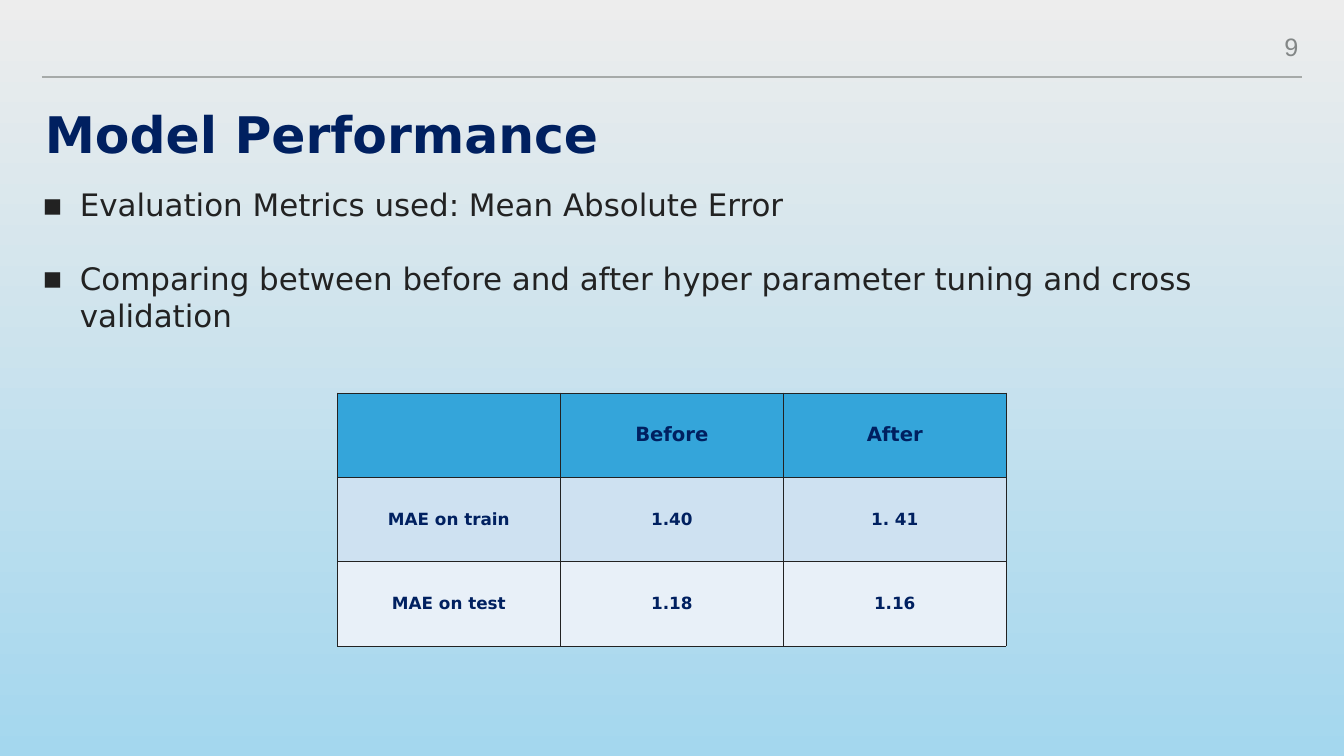
from lxml import etree
from pptx import Presentation
from pptx.dml.color import RGBColor
from pptx.enum import shapes, text
from pptx.oxml import ns
from pptx.util import Pt

NAVY = RGBColor(0x00, 0x20, 0x60)
INK = RGBColor(0x22, 0x22, 0x22)
GREY = RGBColor(0x83, 0x87, 0x87)
RULE = RGBColor(0xA6, 0xAA, 0xA9)
PALE = RGBColor(0xED, 0xED, 0xED)
SKY = RGBColor(0xA4, 0xD7, 0xEE)
HEAD = RGBColor(0x34, 0xA5, 0xDA)
BANDS = [HEAD, RGBColor(0xCE, 0xE1, 0xF1), RGBColor(0xE8, 0xF0, 0xF8)]

FACE = "DejaVu Sans"
LEFT, RIGHT = text.PP_ALIGN.LEFT, text.PP_ALIGN.RIGHT
TOP, MID, LOW = text.MSO_ANCHOR.TOP, text.MSO_ANCHOR.MIDDLE, text.MSO_ANCHOR.BOTTOM

POINTS = [
    "Evaluation Metrics used: Mean Absolute Error",
    "Comparing between before and after hyper parameter tuning and cross validation",
]
ROWS = [
    ["", "Before", "After"],
    ["MAE on train", "1.40", "1. 41"],
    ["MAE on test", "1.18", "1.16"],
]


def apply(item, values):
    for key, value in values.items():
        setattr(item, key, value)


def add(parent, tag, **attrs):
    return etree.SubElement(parent, ns.qn(tag), attrs)


def style(para, size, color, bold=False, face=FACE, **layout):
    apply(para, layout)
    apply(para.font, {"size": Pt(size), "name": face, "bold": bold})
    para.font.color.rgb = color


def place(shape, box, anchor, wrap=True):
    apply(shape, dict(zip(("left", "top", "width", "height"), map(Pt, box))))
    frame = shape.text_frame
    apply(frame, {"word_wrap": wrap, "auto_size": text.MSO_AUTO_SIZE.NONE,
                  "vertical_anchor": anchor})
    apply(frame, {f"margin_{side}": Pt(4)
                  for side in ("left", "top", "right", "bottom")})
    return frame


def paint(slide):
    fill = slide.background.fill
    fill.gradient()
    fill.gradient_angle = 270
    for stop, color in zip(fill.gradient_stops, (PALE, SKY)):
        stop.color.rgb = color


def rule(slide):
    line = slide.shapes.add_connector(
        shapes.MSO_CONNECTOR.STRAIGHT, Pt(60), Pt(110), Pt(1860), Pt(110))
    line.line.color.rgb = RULE
    line.line.width = Pt(2)
    add(line._element.spPr, "a:effectLst")


def title(slide):
    frame = place(slide.shapes.title, (60, 157, 1800, 80), LOW)
    frame.text = "Model Performance"
    style(frame.paragraphs[0], 72, NAVY, True, alignment=LEFT, line_spacing=0.8)


def bullets(slide):
    frame = place(slide.placeholders[1], (56, 261.5, 1721.5, 266.5), TOP)
    frame.text = "\n".join(POINTS)
    for para in frame.paragraphs:
        style(para, 44.2, INK, alignment=LEFT,
              space_before=Pt(0), space_after=Pt(52))
        props = para._p.get_or_add_pPr()
        props.set("marL", str(Pt(54)))
        props.set("indent", str(-Pt(54)))
        add(add(props, "a:buClr"), "a:srgbClr", val=str(INK))
        add(props, "a:buFont", typeface=FACE)
        add(props, "a:buChar", char="▪")


def number(slide):
    box = slide.shapes.add_textbox(0, 0, 0, 0)
    frame = place(box, (1833, 48.5, 26, 50), TOP, False)
    frame.text = "9"
    style(frame.paragraphs[0], 36, GREY, face="Arial",
          alignment=RIGHT, line_spacing=0.8)


def border(cell):
    props = cell._tc.get_or_add_tcPr()
    for side in "LRTB":
        edge = add(props, f"a:ln{side}", w=str(Pt(1)))
        add(add(edge, "a:solidFill"), "a:srgbClr", val=str(INK))


def table(slide):
    grid = slide.shapes.add_table(
        len(ROWS), len(ROWS[0]), Pt(482), Pt(561.5), Pt(955.5), Pt(361.5)).table
    for r, (row, band) in enumerate(zip(ROWS, BANDS)):
        for c, word in enumerate(row):
            cell = grid.cell(r, c)
            border(cell)
            cell.fill.solid()
            cell.fill.fore_color.rgb = band
            cell.vertical_anchor = MID
            cell.text = word
            style(cell.text_frame.paragraphs[0], 24 if r else 28, NAVY, True,
                  alignment=text.PP_ALIGN.CENTER)


def main():
    deck = Presentation()
    apply(deck, {"slide_width": Pt(1920), "slide_height": Pt(1080)})
    slide = deck.slides.add_slide(deck.slide_layouts[1])
    for draw in (paint, rule, bullets, number, title, table):
        draw(slide)
    deck.save("out.pptx")


if __name__ == "__main__":
    main()
